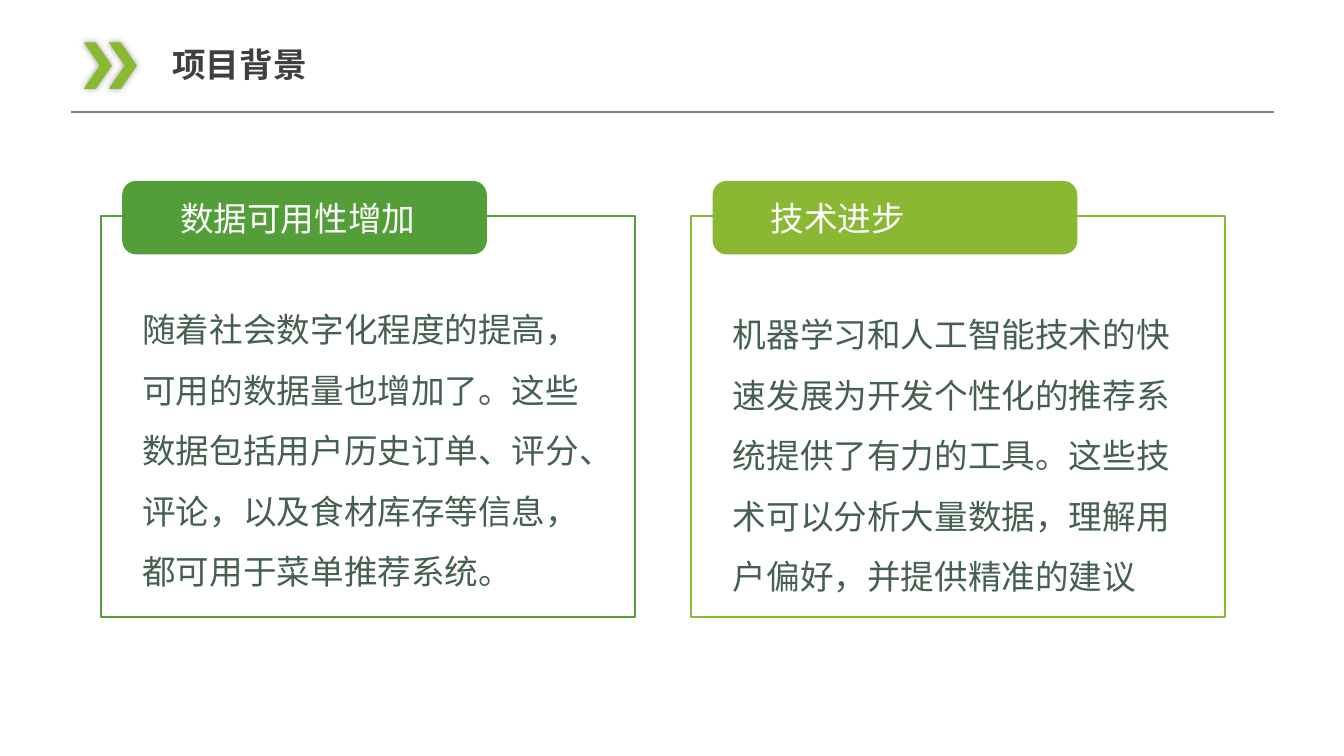
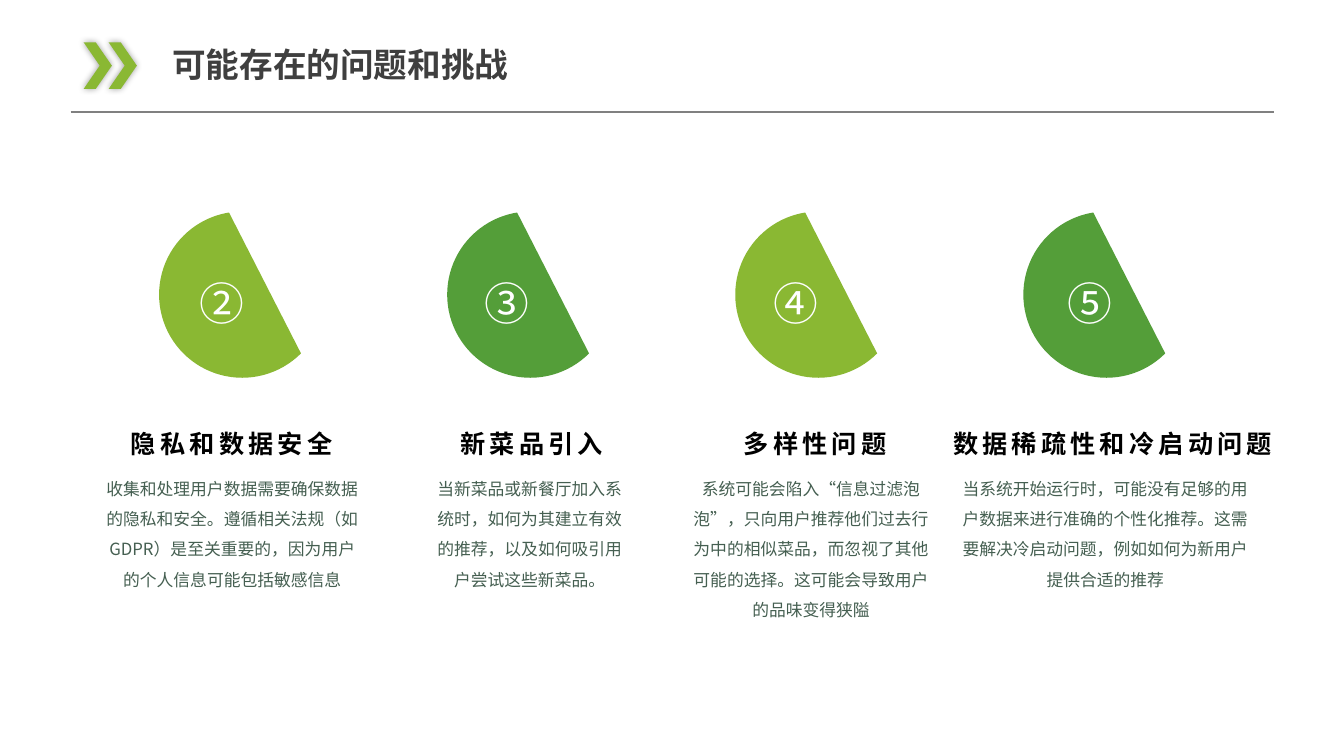
from lxml.etree import SubElement
from pptx import Presentation
from pptx.dml.color import RGBColor
from pptx.enum.lang import MSO_LANGUAGE_ID as Language
from pptx.enum.shapes import MSO_CONNECTOR as Connector, MSO_SHAPE as Shape
from pptx.enum.text import MSO_ANCHOR as Anchor, MSO_AUTO_SIZE as AutoSize, PP_ALIGN as Align
from pptx.oxml.ns import qn
from pptx.util import Cm, Pt

FONT = "Noto Sans CJK SC"
COLORS = {
    "green": "549E39",
    "lime": "8AB833",
    "text": "455F51",
    "title": "3F3F3F",
    "rule": "808080",
    "white": "FFFFFF",
    "black": "000000",
}


def color(name):
    return RGBColor.from_string(COLORS[name])


def write(box, text, size=24, ink="text", bold=False, align=Align.LEFT,
          spacing=1.0, tracking=0, wrap=True):
    """Fill a box with one formatted paragraph."""
    frame = box.text_frame
    frame.word_wrap = wrap
    frame.auto_size = AutoSize.SHAPE_TO_FIT_TEXT
    frame.vertical_anchor = Anchor.TOP
    para = frame.paragraphs[0]
    para.alignment = align
    para.line_spacing = spacing
    span = para.add_run()
    span.text = text
    font = span.font
    font.name, font.size, font.bold = FONT, Pt(size), bold
    font.color.rgb = color(ink)
    font.language_id = Language.SIMPLIFIED_CHINESE
    properties = font._element
    SubElement(properties, qn("a:ea"), typeface=FONT)
    if tracking:
        properties.set("spc", str(tracking * 100))


class Slides:
    """Holds the deck, its shared style and the current page."""

    def __init__(self):
        self.deck = Presentation()
        self.deck.slide_width = Cm(33.87)
        self.deck.slide_height = Cm(19.05)
        self.page = None

    def start(self, title):
        layout = self.deck.slide_layouts[5]
        self.page = self.deck.slides.add_slide(layout)
        # Header: rule, double chevron and title
        self.rule(1.78, 32.11, 2.82)
        for left in (2.74, 2.11):
            chevron = self.shape(Shape.CHEVRON, left, 1.07, 0.71, 1.17,
                                 fill="lime", adjust=[0.57])
            self.glow(chevron)
        box = self.page.shapes.title
        box.left, box.top, box.width, box.height = Cm(4.09), Cm(0.99), Cm(11.91), Cm(1.27)
        write(box, title, ink="title", bold=True)

    def rule(self, left, right, top):
        line = self.page.shapes.add_connector(
            Connector.STRAIGHT, Cm(left), Cm(top), Cm(right), Cm(top))
        line.line.color.rgb = color("rule")
        line.line.width = Pt(1)
        SubElement(line._element.spPr, qn("a:effectLst"))

    def shape(self, kind, left, top, width, height, fill, outline=None, adjust=()):
        shape = self.page.shapes.add_shape(kind, Cm(left), Cm(top), Cm(width), Cm(height))
        shape.shadow.inherit = False
        shape.fill.solid()
        shape.fill.fore_color.rgb = color(fill)
        if outline:
            shape.line.color.rgb = color(outline)
            shape.line.width = Pt(1.5)
        else:
            shape.line.fill.background()
        for index, value in enumerate(adjust):
            shape.adjustments[index] = value
        return shape

    def glow(self, shape):
        """Give a shape a soft shadow on all sides."""
        effects = shape._element.spPr.find(qn("a:effectLst"))
        shadow = SubElement(effects, qn("a:outerShdw"), blurRad=str(Pt(5)), algn="ctr")
        tint = SubElement(shadow, qn("a:srgbClr"), val=COLORS["black"])
        SubElement(tint, qn("a:alpha"), val="40000")

    def text(self, text, left, top, width, height, **style):
        box = self.page.shapes.add_textbox(Cm(left), Cm(top), Cm(width), Cm(height))
        write(box, text, **style)

    def panel(self, left, accent, label, body, body_top):
        """Framed text with a coloured tab on its upper edge."""
        self.shape(Shape.RECTANGLE, left, 5.44, 13.46, 10.11, fill="white", outline=accent)
        self.shape(Shape.ROUNDED_RECTANGLE, left + 0.54, 4.56, 9.19, 1.85,
                   fill=accent, adjust=[0.19])
        self.text(label, left + 1.75, 4.85, 6.5, 1.27, ink="white", wrap=False)
        self.text(body, left + 0.8, body_top, 11.84, 7.77, spacing=1.5)

    def challenge(self, index, number, number_left, heading, heading_at, body, body_at):
        """Numbered chord over a heading and a text; each *_at is left and width."""
        accent = ("lime", "green")[index % 2]
        self.shape(Shape.CHORD, 4.01 + 7.26 * index, 5.33, 4.19, 4.19,
                   fill=accent, adjust=[27, 156.525])
        self.text(number, number_left, 6.83, 3.5, 1.63, size=32, ink="white",
                  align=Align.CENTER)
        left, width = heading_at
        self.text(heading, left, 10.67, width, 1.02, size=18, ink="black", bold=True,
                  align=Align.CENTER, tracking=3, wrap=False)
        left, width = body_at
        self.text(body, left, 11.68, width, 3.25, size=12, align=Align.CENTER, spacing=1.5)


PANELS = [
    (2.54, "green", "数据可用性增加",
     "随着社会数字化程度的提高，可用的数据量也增加了。这些数据包括用户历史订单、评分、"
     "评论，以及食材库存等信息，都可用于菜单推荐系统。", 7.16),
    (17.42, "lime", "技术进步",
     "机器学习和人工智能技术的快速发展为开发个性化的推荐系统提供了有力的工具。"
     "这些技术可以分析大量数据，理解用户偏好，并提供精准的建议", 7.29),
]
CHALLENGES = [
    ("②", 3.84, "隐私和数据安全", (2.97, 5.74),
     "收集和处理用户数据需要确保数据的隐私和安全。遵循相关法规（如GDPR）是至关重要的，"
     "因为用户的个人信息可能包括敏感信息", (2.39, 6.93)),
    ("③", 11.03, "新菜品引入", (11.28, 4.24),
     "当新菜品或新餐厅加入系统时，如何为其建立有效的推荐，以及如何吸引用户尝试这些新菜品。",
     (10.72, 5.26)),
    ("④", 18.32, "多样性问题", (18.42, 4.24),
     "系统可能会陷入“信息过滤泡泡”，只向用户推荐他们过去行为中的相似菜品，"
     "而忽视了其他可能的选择。这可能会导致用户的品味变得狭隘", (17.2, 6.48)),
    ("⑤", 25.71, "数据稀疏性和冷启动问题", (23.67, 8.74),
     "当系统开始运行时，可能没有足够的用户数据来进行准确的个性化推荐。"
     "这需要解决冷启动问题，例如如何为新用户提供合适的推荐", (23.88, 7.95)),
]


def main():
    slides = Slides()

    # Project background
    slides.start("项目背景")
    for panel in PANELS:
        slides.panel(*panel)

    # Problems and challenges
    slides.start("可能存在的问题和挑战")
    for index, challenge in enumerate(CHALLENGES):
        slides.challenge(index, *challenge)

    slides.deck.save("out.pptx")


if __name__ == "__main__":
    main()
